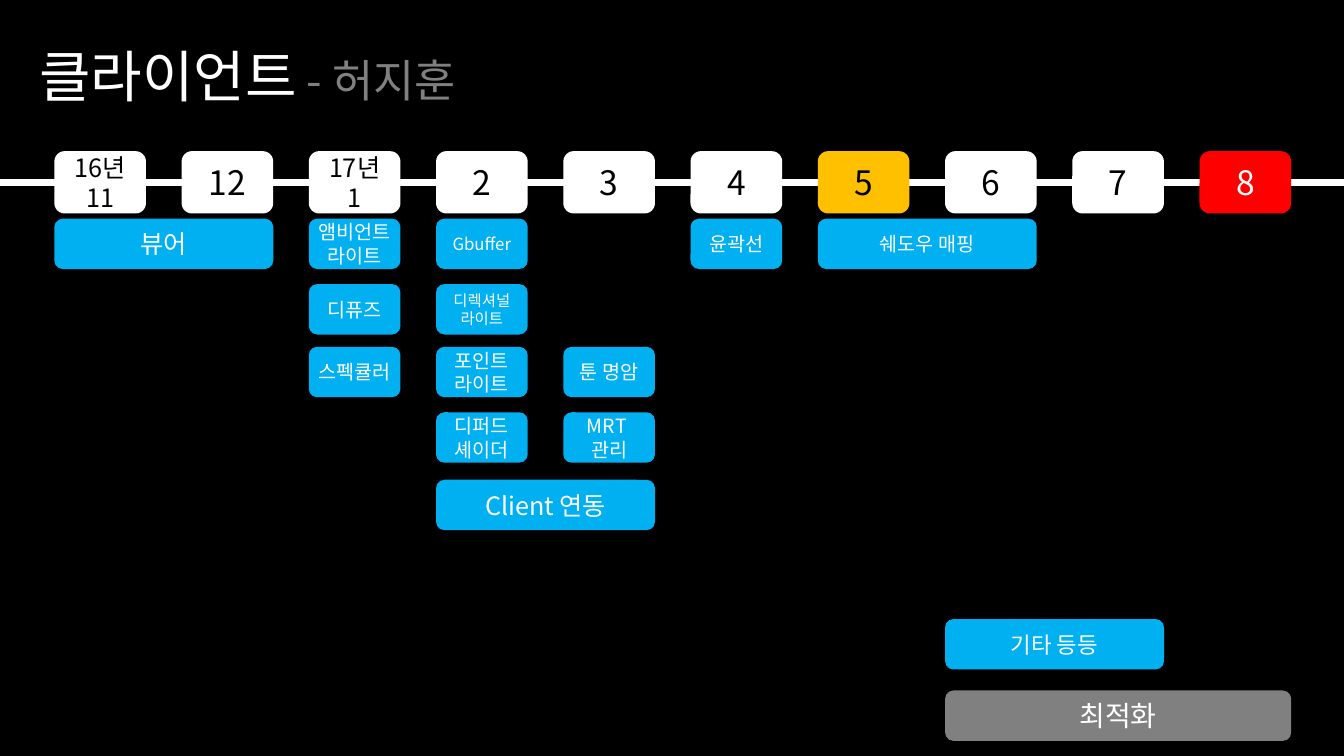
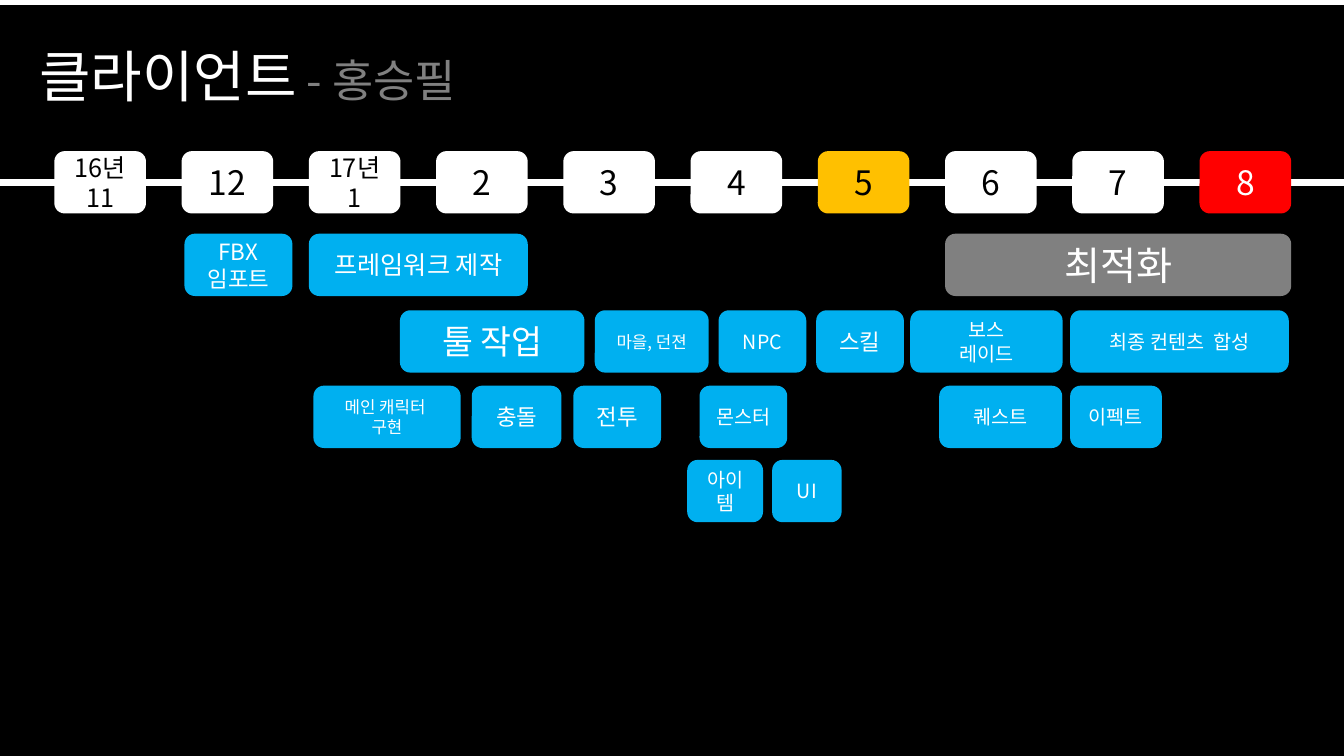
from dataclasses import dataclass
from typing import Any

from lxml.etree import SubElement
from pptx import Presentation
from pptx.dml.color import RGBColor
from pptx.enum.shapes import MSO_CONNECTOR, MSO_SHAPE
from pptx.enum.text import MSO_ANCHOR, MSO_AUTO_SIZE, PP_ALIGN
from pptx.oxml.ns import qn
from pptx.util import Cm, Pt

# Shared look, lengths in cm
FONT = "Noto Sans CJK KR"
BLACK, WHITE, GREY = "000000", "FFFFFF", "808080"
BLUE, AMBER, RED = "00B0F0", "FFC000", "FF0000"
WIDE, HIGH = 33.87, 19.05

# Month columns
FIRST, LAST = 1.37, 30.23
STEP = (LAST - FIRST) / 9
CELL = 2.31
TALL, LOW = 1.57, 1.27
TOP, AXIS = 3.81, 4.6

PLAIN = {"word_wrap": True, "vertical_anchor": MSO_ANCHOR.MIDDLE}
TIGHT = PLAIN | {f"margin_{side}": 0 for side in ("left", "top", "right", "bottom")}
LOOSE = {"word_wrap": False, "auto_size": MSO_AUTO_SIZE.SHAPE_TO_FIT_TEXT}


@dataclass
class Box:
    text: str
    left: float
    top: float
    width: float
    size: int
    height: float = TALL
    fill: str = BLUE
    ink: str = WHITE
    tight: bool = False


@dataclass
class Page:
    name: str
    edge: float
    tasks: list[Box]


def paint(hue: str) -> RGBColor:
    return RGBColor.from_string(hue)


def apply(item: Any, form: dict[str, Any]) -> None:
    for key, value in form.items():
        setattr(item, key, value)


def span(text: str, col: int, top: float, size: int, count: int = 1, **form: Any) -> Box:
    """Place a box over whole month columns."""
    return Box(text, FIRST + col * STEP, top, (count - 1) * STEP + CELL, size, **form)


def add_run(para: Any, text: str, size: int, ink: str) -> None:
    run = para.add_run()
    run.text = text
    apply(run.font, {"name": FONT, "size": Pt(size)})
    run.font.color.rgb = paint(ink)
    SubElement(run.font._element, qn("a:ea"), typeface=FONT)


def add_form(slide: Any, kind: MSO_SHAPE, fill: str, *area: float) -> Any:
    shape = slide.shapes.add_shape(kind, *map(Cm, area))
    shape.shadow.inherit = False
    shape.fill.solid()
    shape.fill.fore_color.rgb = paint(fill)
    shape.line.fill.background()
    return shape


def add_box(slide: Any, box: Box) -> None:
    shape = add_form(slide, MSO_SHAPE.ROUNDED_RECTANGLE, box.fill,
                     box.left, box.top, box.width, box.height)
    frame = shape.text_frame
    apply(frame, TIGHT if box.tight else PLAIN)
    for i, line in enumerate(box.text.split("\n")):
        para = frame.add_paragraph() if i else frame.paragraphs[0]
        para.alignment = PP_ALIGN.CENTER
        add_run(para, line, box.size, box.ink)


def add_axis(slide: Any) -> None:
    line = slide.shapes.add_connector(
        MSO_CONNECTOR.STRAIGHT, Cm(0), Cm(AXIS), Cm(WIDE), Cm(AXIS))
    line.line.color.rgb = paint(WHITE)
    line.line.width = Pt(5)
    SubElement(line._element.spPr, qn("a:effectLst"))


def add_title(slide: Any, name: str) -> None:
    frame = slide.shapes.add_textbox(Cm(0.74), Cm(0.91), Cm(12.32), Cm(1.96)).text_frame
    apply(frame, LOOSE)
    para = frame.paragraphs[0]
    add_run(para, "클라이언트", 40, WHITE)
    add_run(para, f" - {name}", 32, GREY)


def add_page(deck: Any, page: Page) -> None:
    slide = deck.slides.add_slide(deck.slide_layouts[6])
    add_form(slide, MSO_SHAPE.RECTANGLE, BLACK, 0, page.edge, WIDE, HIGH - page.edge)
    add_axis(slide)
    add_title(slide, page.name)
    for box in MONTHS + page.tasks:
        add_box(slide, box)


# Month markers
LABELS = ["16년\n11", "12", "17년\n1", "2", "3", "4", "5", "6", "7", "8"]
TINTS = {"5": (AMBER, BLACK), "8": (RED, WHITE)}
MONTHS = []
for col, label in enumerate(LABELS):
    fill, ink = TINTS.get(label, (WHITE, BLACK))
    MONTHS.append(span(label, col, TOP, 18 if "\n" in label else 24, fill=fill, ink=ink))

# First page: text, column, row, size, columns covered
ROWS = [5.51, 7.16, 8.74, 10.39, 12.09, 15.6, 17.4]
GRID = [
    ("뷰어", 0, 0, 18, 2),
    ("앰비언트 라이트", 2, 0, 14, 1),
    ("디퓨즈", 2, 1, 14, 1),
    ("스펙큘러", 2, 2, 14, 1),
    ("Gbuffer", 3, 0, 12, 1),
    ("디렉셔널 라이트", 3, 1, 11, 1),
    ("포인트라이트", 3, 2, 14, 1),
    ("디퍼드 셰이더", 3, 3, 14, 1),
    ("Client 연동", 3, 4, 18, 2),
    ("툰 명암", 4, 2, 14, 1),
    ("MRT \n관리", 4, 3, 14, 1),
    ("윤곽선", 5, 0, 14, 1),
    ("쉐도우 매핑", 6, 0, 14, 2),
    ("기타 등등", 7, 5, 16, 2),
    ("최적화", 7, 6, 20, 3),
]
RENDER = [
    span(text, col, ROWS[row], size, count, height=LOW, tight=col == 2,
         fill=GREY if text == "최적화" else BLUE)
    for text, col, row, size, count in GRID
]

# Second page: free boxes by row
LINE_A, LINE_B, LINE_C, LINE_D = 5.89, 7.82, 9.72, 11.59
GAME = [
    Box("FBX\n임포트", 4.65, LINE_A, 2.72, 16),
    span("프레임워크 제작", 2, LINE_A, 18, 2),
    span("최적화", 7, LINE_A, 28, 3, fill=GREY),
    Box("툴 작업", 10.08, LINE_B, 4.65, 24),
    Box("마을, 던젼", 14.99, LINE_B, 2.87, 12),
    Box("NPC", 18.11, LINE_B, 2.21, 14),
    Box("스킬", 20.57, LINE_B, 2.21, 16),
    Box("보스\n레이드", 22.94, LINE_B, 3.84, 14),
    Box("최종 컨텐츠  합성", 26.97, LINE_B, 5.51, 14),
    Box("메인 캐릭터 \n구현", 7.9, LINE_C, 3.71, 12),
    Box("충돌", 11.89, LINE_C, 2.26, 16),
    Box("전투", 14.45, LINE_C, 2.21, 16),
    Box("몬스터", 17.63, LINE_C, 2.21, 14),
    Box("퀘스트", 23.67, LINE_C, 3.1, 14),
    Box("이펙트", 26.97, LINE_C, 2.31, 14),
    Box("아이템", 17.32, LINE_D, 1.91, 14),
    Box("UI", 19.46, LINE_D, 1.75, 14),
]

# Build the deck
deck = Presentation()
apply(deck, {"slide_width": Cm(WIDE), "slide_height": Cm(HIGH)})
for page in (Page("허지훈", 0, RENDER), Page("홍승필", 0.13, GAME)):
    add_page(deck, page)
deck.save("out.pptx")
